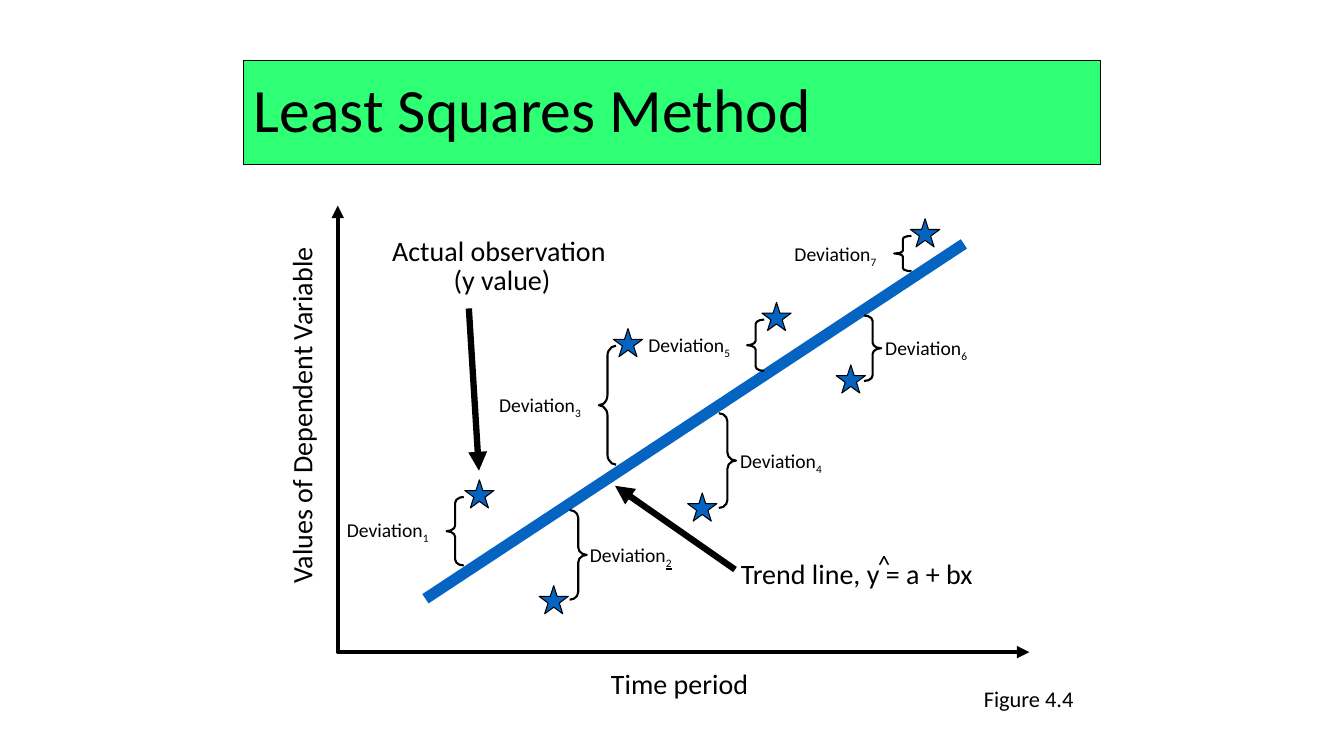
from lxml.etree import SubElement
from pptx import Presentation
from pptx.dml.color import RGBColor
from pptx.enum.shapes import MSO_CONNECTOR, MSO_SHAPE
from pptx.enum.text import MSO_ANCHOR, MSO_AUTO_SIZE, PP_ALIGN
from pptx.oxml.ns import qn
from pptx.util import Inches, Pt

FONT = "Calibri"
BLACK, GREEN, BLUE = "000000", "2FFF74", "0563C1"

TITLE = ("Least Squares Method", (2.42, 0.6, 8.5, 1.03))
AXES = [(3.35, 2.04), (3.35, 6.47), (10.21, 6.47)]
TREND = ((4.22, 5.94), (9.56, 2.42))
POINTERS = [((4.65, 3.06), (4.75, 4.67)), ((7.29, 5.65), (6.1, 4.82))]

# text, box, size, side inset, rotation
LABELS = [
    ("Time period", (5.95, 6.56, 1.6, 0.45), 20, 0.11, 0),
    ("Values of Dependent Variable", (1.2, 3.88, 3.59, 0.45), 20, 0.11, 270),
    ("Figure 4.4", (9.66, 6.75, 1.1, 0.37), 16, 0.1, 0),
    ("Trend line, y = a + bx", (7.25, 5.47, 2.52, 0.44), 20, 0.1, 0),
    ("^", (8.61, 5.39, 0.33, 0.4), 18, 0.1, 0),
]
OBSERVATION = ("Actual observation \v(y value)", (3.78, 2.32, 2.4, 0.67))

STAR_LEFT, STAR_RIGHT = 4.61, 9.03
STAR_SIZE = (0.29, 0.28)
BRACE_WIDTH = 0.17
LABEL_SIZE = (1.05, 0.35)
# star top, brace (left, top, height), label (left, top); in time order
DEVIATIONS = [
    (4.76, (4.43, 4.93, 0.68), (3.33, 5.09)),
    (5.81, (5.65, 5.06, 0.89), (5.74, 5.34)),
    (3.26, (5.94, 3.43, 1.18), (4.84, 3.85)),
    (4.89, (7.13, 4.1, 0.94), (7.23, 4.4)),
    (3.0, (7.41, 3.17, 0.51), (6.32, 3.25)),
    (3.62, (8.57, 3.13, 0.65), (8.67, 3.28)),
    (2.17, (8.87, 2.34, 0.35), (7.77, 2.35)),
]


def color(hex_code):
    return RGBColor.from_string(hex_code)


def inches(values):
    return [Inches(value) for value in values]


def set_line(shape, hex_code, width):
    shape.line.color.rgb = color(hex_code)
    shape.line.width = Pt(width)


def add_arrowheads(shape, *ends):
    for end in ends:
        SubElement(shape.line._get_or_add_ln(), qn(f"a:{end}"), type="triangle")


def style_runs(paragraph, size):
    for run in paragraph.runs:
        run.font.name = FONT
        run.font.size = Pt(size)
        run.font.color.rgb = color(BLACK)


def add_shape(slide, kind, box, fill, line_width):
    shape = slide.shapes.add_shape(kind, *inches(box))
    shape.shadow.inherit = False
    if fill:
        shape.fill.solid()
        shape.fill.fore_color.rgb = color(fill)
    else:
        shape.fill.background()
    set_line(shape, BLACK, line_width)
    return shape


def add_label(slide, text, box, size, inset=0.1, rotation=0):
    """Add an unwrapped text box and return its paragraph."""
    label = slide.shapes.add_textbox(*inches(box))
    label.rotation = rotation
    frame = label.text_frame
    frame.word_wrap = False
    frame.auto_size = MSO_AUTO_SIZE.SHAPE_TO_FIT_TEXT
    frame.margin_left = frame.margin_right = Inches(inset)
    frame.text = text
    style_runs(frame.paragraphs[0], size)
    return frame.paragraphs[0]


def add_line(slide, start, end, hex_code, width):
    line = slide.shapes.add_connector(
        MSO_CONNECTOR.STRAIGHT, *inches(start + end))
    set_line(line, hex_code, width)
    SubElement(line._element.spPr, qn("a:effectLst"))
    return line


def add_title(slide):
    text, box = TITLE
    title = add_shape(slide, MSO_SHAPE.RECTANGLE, box, GREEN, 0.75)
    frame = title.text_frame
    frame.vertical_anchor = MSO_ANCHOR.MIDDLE
    frame.text = text
    heading = frame.paragraphs[0]
    heading.alignment = PP_ALIGN.LEFT
    heading.line_spacing = 0.9
    style_runs(heading, 44)


def add_axes(slide):
    start, *corners = [inches(point) for point in AXES]
    builder = slide.shapes.build_freeform(*start)
    builder.add_line_segments(corners, close=False)
    axes = builder.convert_to_shape()
    axes.shadow.inherit = False
    axes.fill.background()
    set_line(axes, BLACK, 3)
    add_arrowheads(axes, "headEnd", "tailEnd")


def add_deviation(slide, number, star_top, brace_place, label_place):
    step = (STAR_RIGHT - STAR_LEFT) / (len(DEVIATIONS) - 1)
    star_left = STAR_LEFT + (number - 1) * step
    add_shape(slide, MSO_SHAPE.STAR_5_POINT,
              (star_left, star_top, *STAR_SIZE), BLUE, 0.75)

    left, top, height = brace_place
    kind = MSO_SHAPE.LEFT_BRACE if left < star_left else MSO_SHAPE.RIGHT_BRACE
    brace = add_shape(slide, kind, (left, top, BRACE_WIDTH, height), None, 1.5)
    brace.adjustments[0] = height / 2

    label = add_label(slide, "Deviation", (*label_place, *LABEL_SIZE), 14, 0.11)
    subscript = label.add_run()
    subscript.text = str(number)
    style_runs(label, 14)
    subscript._r.get_or_add_rPr().set("baseline", "-25000")
    if number == 2:
        subscript.font.underline = True


def main():
    deck = Presentation()
    deck.slide_width, deck.slide_height = Inches(13.33), Inches(7.5)
    slide = deck.slides.add_slide(deck.slide_layouts[6])

    add_title(slide)
    add_line(slide, *TREND, BLUE, 8)
    add_axes(slide)
    for number, deviation in enumerate(DEVIATIONS, start=1):
        add_deviation(slide, number, *deviation)
    for label in LABELS:
        add_label(slide, *label)
    observation = add_label(slide, *OBSERVATION, 20)
    observation.alignment = PP_ALIGN.CENTER
    observation.line_spacing = 0.85
    for start, end in POINTERS:
        add_arrowheads(add_line(slide, start, end, BLACK, 4.5), "tailEnd")

    deck.save("out.pptx")


if __name__ == "__main__":
    main()
